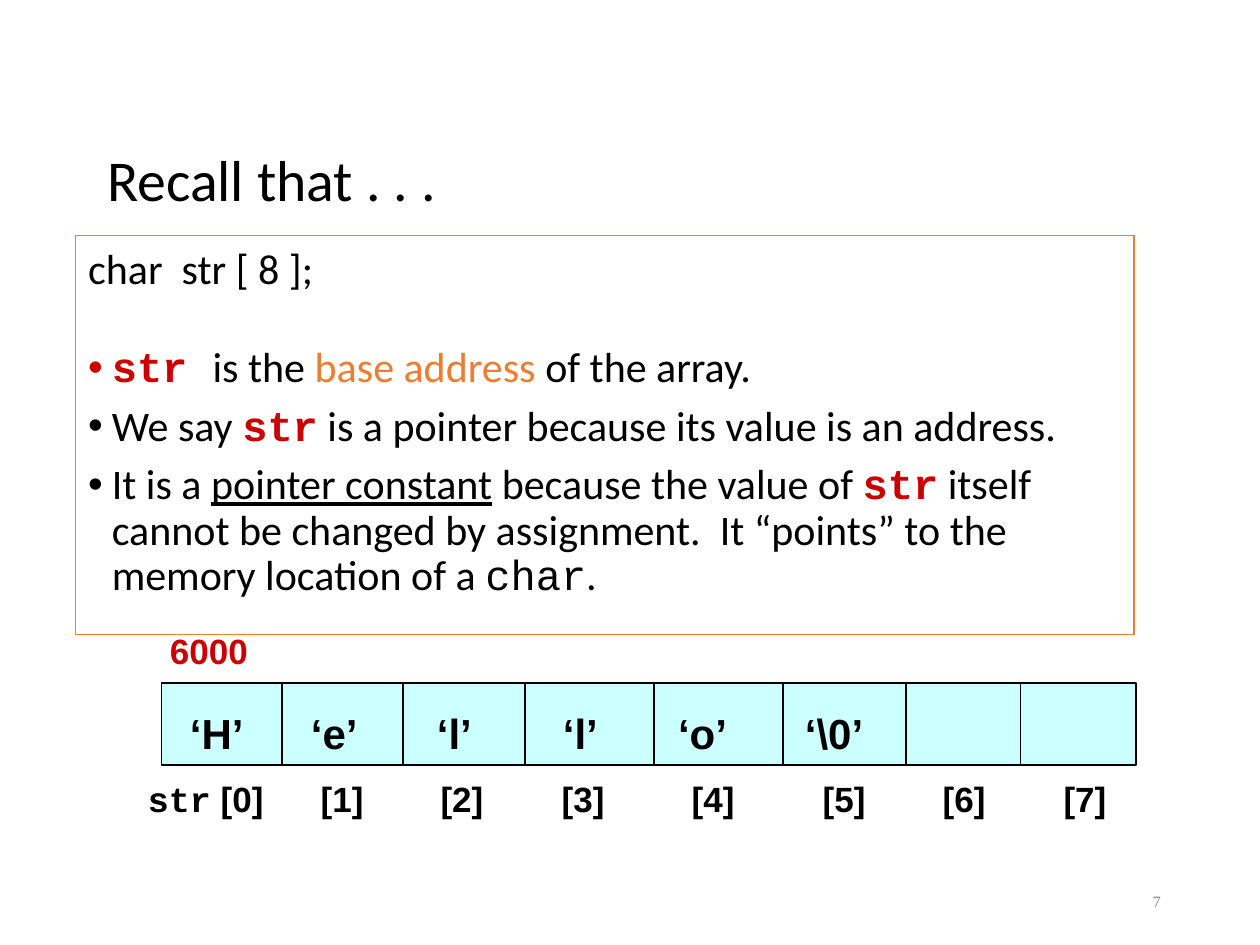
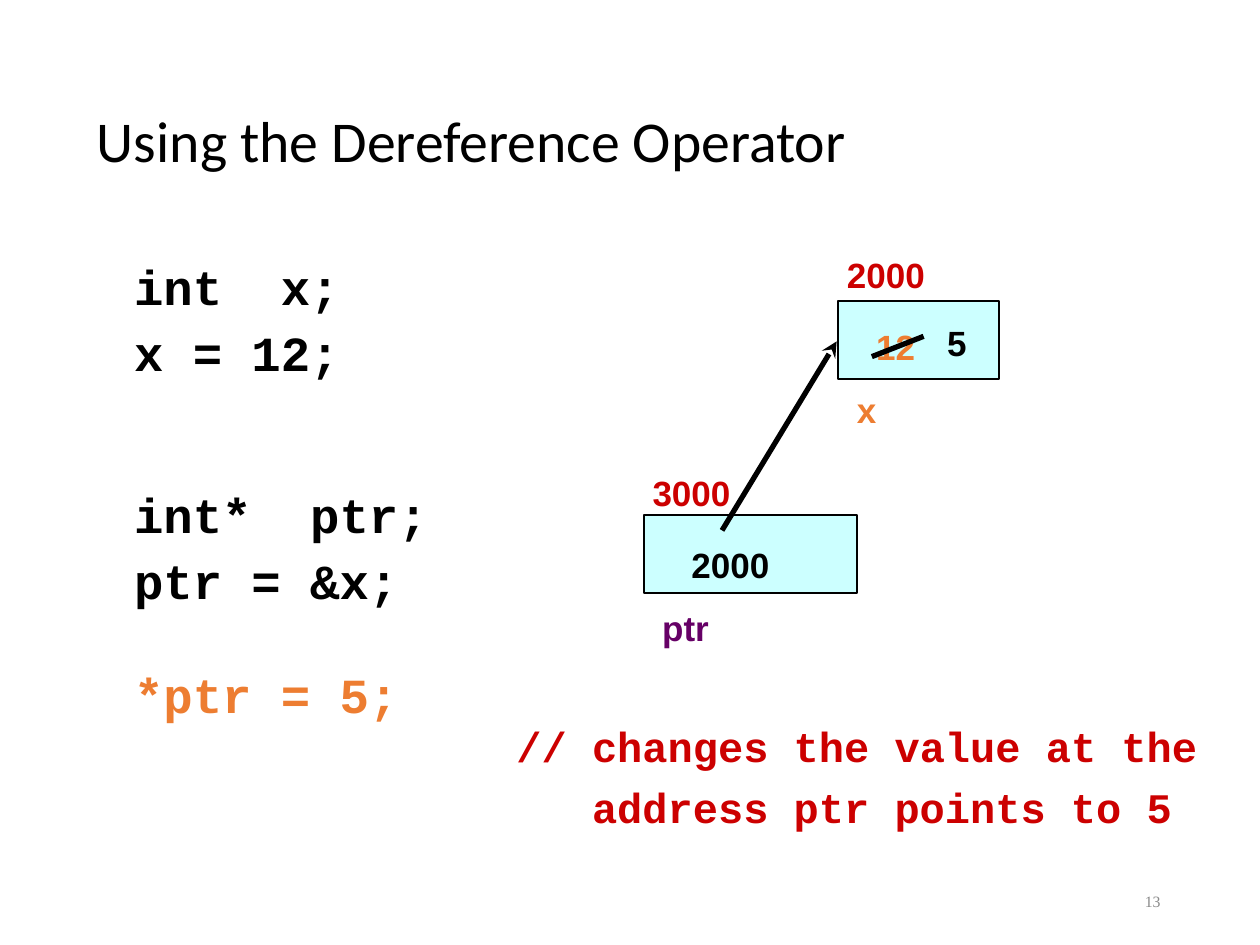
"""Builds two slides on C++ pointers: arrays as base addresses, and the dereference operator."""
from lxml import etree
from pptx import Presentation
from pptx import util as u
from pptx.dml.color import RGBColor
from pptx.enum import shapes, text
from pptx.oxml import ns


class Theme:
    black, red, orange = "000000", "CC0000", "ED7D31"
    purple, gray, cell = "660066", "898989", "CCFFFF"
    title = dict(name="Calibri", size=u.Pt(33), color=black)
    prose = dict(name="Calibri", size=u.Pt(24), color=black)
    accent = dict(prose, color=orange)
    underlined = dict(prose, underline=True)
    type_name = dict(prose, name="Courier New")
    keyword = dict(type_name, bold=True, color=red)
    code = dict(type_name, bold=True, size=u.Pt(28))
    code_accent = dict(code, color=orange)
    value = dict(name="Arial", size=u.Pt(24), bold=True, color=black)
    small = dict(value, size=u.Pt(20))
    small_code = dict(small, name="Courier New")
    address = dict(small, color=red)
    variable = dict(small, color=orange)
    pointer = dict(small, color=purple)
    number = dict(name="Times New Roman", size=u.Pt(9), color=gray)


def write(shape, frame_format, paragraphs):
    """Fill a shape with paragraphs given as (format, runs)."""
    frame = shape.text_frame
    settings = dict(word_wrap=True, auto_size=text.MSO_AUTO_SIZE.NONE,
                    margin_left=u.Pt(7.2), margin_right=u.Pt(7.2),
                    margin_top=u.Pt(3.6), margin_bottom=u.Pt(3.6))
    for key, value in {**settings, **frame_format}.items():
        setattr(frame, key, value)
    for index, (paragraph_format, runs) in enumerate(paragraphs):
        paragraph = frame.add_paragraph() if index else frame.paragraphs[0]
        options = dict(paragraph_format)
        bullet = options.pop("bullet", None)
        margin, indent = options.pop("indent", (0, 0))
        for key, value in options.items():
            setattr(paragraph, key, value)
        properties = paragraph._p.get_or_add_pPr()
        properties.set("marL", str(u.Pt(margin)))
        properties.set("indent", str(u.Pt(indent)))
        if bullet:
            color = etree.SubElement(properties, ns.qn("a:buClr"))
            etree.SubElement(color, ns.qn("a:srgbClr"), val=bullet)
            etree.SubElement(properties, ns.qn("a:buFont"), typeface="Arial")
            etree.SubElement(properties, ns.qn("a:buChar"), char="•")
        else:
            etree.SubElement(properties, ns.qn("a:buNone"))
        for words, style in runs:
            run = paragraph.add_run()
            run.text = words
            for key, value in style.items():
                if key == "color":
                    run.font.color.rgb = RGBColor.from_string(value)
                else:
                    setattr(run.font, key, value)


left_aligned = dict(alignment=text.PP_ALIGN.LEFT, space_before=u.Pt(0))
title_line = dict(left_aligned, line_spacing=0.9)
number_line = dict(left_aligned, alignment=text.PP_ALIGN.RIGHT)
body_line = dict(title_line, space_before=u.Pt(7.5))
bullet_line = dict(body_line, indent=(13.5, -13.5), bullet=Theme.black)
first_bullet = dict(bullet_line, bullet=Theme.red, space_before=u.Pt(30.5))
code_line = dict(body_line, indent=(16.8, 0))
note_line = dict(left_aligned, space_before=u.Pt(6))

cell_top, cell_bottom = 390.4, 437.4
dividers = [161.3, 230.4, 300.2, 373.7, 517.7, 583.2]
characters = zip([101.5, 170.6, 242.6, 314.6, 380.4, 452.9],
                 ["‘H’", "‘e’", "‘l’", "‘l’", "‘o’", "‘\\0’"])
index_lefts = [176.2, 244.7, 313.9, 388.2, 463, 531.6, 600.7]

slides = [
    dict(
        title="Recall that . . .", title_place=(54, 36, 612, 90), number="7",
        body_place=(43.2, 134.6, 604.8, 228.2), body_top=7, outline=Theme.orange,
        body=[
            (body_line, [("char  str [ 8 ];", Theme.prose)]),
            (first_bullet, [("str ", Theme.keyword), ("is the ", Theme.prose),
                            ("base address ", Theme.accent),
                            ("of the array.", Theme.prose)]),
            (bullet_line, [("We say ", Theme.prose), ("str", Theme.keyword),
                           (" is a pointer because its value is an address.", Theme.prose)]),
            (bullet_line, [("It is a ", Theme.prose),
                           ("pointer constant", Theme.underlined),
                           (" because the value of ", Theme.prose),
                           ("str", Theme.keyword),
                           (" itself cannot be changed by assignment.  It “points” "
                            "to the memory location of a ", Theme.prose),
                           ("char", Theme.type_name), (".", Theme.prose)]),
        ],
        boxes=[(92.2, cell_top, 355.2, 47), (447.8, cell_top, 201.2, 47)],
        lines=[(x, cell_top, x, cell_bottom, 1, None) for x in dividers],
        labels=[(90, 356.4, [("6000", Theme.address)]),
                (77.4, 440.6, [("str", Theme.small_code), (" [0]", Theme.small)])]
        + [(x, 401, [(character, Theme.value)]) for x, character in characters]
        + [(x, 440.6, [(f"[{index}]", Theme.small)])
           for index, x in enumerate(index_lefts, 1)],
        note=[],
    ),
    dict(
        title="Using the Dereference Operator", title_place=(48.2, 13.7, 617.8, 90),
        number="13",
        body_place=(52.6, 146.9, 205.2, 334.8), body_top=3.6, outline=None,
        body=[
            (dict(code_line, space_before=u.Pt(gap)), [(words, style)])
            for words, gap, style in [
                ("int  x;", 7.5, Theme.code),
                ("x = 12;", 7.5, Theme.code),
                ("int*  ptr;", 62, Theme.code),
                ("ptr = &x;", 7.5, Theme.code),
                ("*ptr = 5;", 34.8, Theme.code_accent)]
        ],
        boxes=[(478.8, 172.1, 92.2, 44.6), (367.9, 294.5, 121.7, 44.6)],
        lines=[(412.6, 303.1, 478.1, 195.1, 3, "stealth"),
               (498.2, 203.8, 527.8, 192.2, 3, None)],
        labels=[(476.9, 141.1, [("2000", Theme.address)]),
                (493.6, 182.2, [("12", Theme.variable)]),
                (534.2, 180, [("5", Theme.small)]),
                (482.5, 218.2, [("x", Theme.variable)]),
                (365.8, 265.7, [("3000", Theme.address)]),
                (388, 306.8, [("2000", Theme.small)]),
                (371.3, 343.2, [("ptr", Theme.pointer)])],
        note=[(note_line, [("// changes the value at the", Theme.keyword)]),
              (dict(note_line, indent=(43.2, 0)),
               [("address ptr points to 5", Theme.keyword)])],
    ),
]

presentation = Presentation()
presentation.slide_width, presentation.slide_height = u.Pt(720), u.Pt(540)

for content in slides:
    slide = presentation.slides.add_slide(presentation.slide_layouts[1])
    title, body = slide.placeholders
    for shape, place in [(title, content["title_place"]), (body, content["body_place"])]:
        for side, length in zip(("left", "top", "width", "height"), place):
            setattr(shape, side, u.Pt(length))
    write(title, dict(vertical_anchor=text.MSO_ANCHOR.BOTTOM),
          [(title_line, [(content["title"], Theme.title)])])
    write(body, dict(vertical_anchor=text.MSO_ANCHOR.TOP,
                     margin_top=u.Pt(content["body_top"])), content["body"])
    if content["outline"]:
        body.line.color.rgb = RGBColor.from_string(content["outline"])
        body.line.width = u.Pt(0.75)

    number = slide.shapes.add_textbox(u.Pt(508.3), u.Pt(500.4), u.Pt(162), u.Pt(28.8))
    write(number, dict(vertical_anchor=text.MSO_ANCHOR.MIDDLE),
          [(number_line, [(content["number"], Theme.number)])])

    for place in content["boxes"]:
        box = slide.shapes.add_shape(shapes.MSO_SHAPE.RECTANGLE, *map(u.Pt, place))
        box.shadow.inherit = False
        box.fill.solid()
        box.fill.fore_color.rgb = RGBColor.from_string(Theme.cell)
        box.line.color.rgb = RGBColor.from_string(Theme.black)
        box.line.width = u.Pt(1)

    for left, top, runs in content["labels"]:
        label = slide.shapes.add_textbox(u.Pt(left), u.Pt(top), u.Pt(100), u.Pt(31))
        write(label, {}, [(left_aligned, runs)])

    for *ends, width, arrowhead in content["lines"]:
        line = slide.shapes.add_connector(shapes.MSO_CONNECTOR.STRAIGHT, *map(u.Pt, ends))
        line.line.color.rgb = RGBColor.from_string(Theme.black)
        line.line.width = u.Pt(width)
        if arrowhead:
            etree.SubElement(line.line._get_or_add_ln(), ns.qn("a:tailEnd"), type=arrowhead)
        etree.SubElement(line._element.spPr, ns.qn("a:effectLst"))

    if content["note"]:
        note = slide.shapes.add_textbox(u.Pt(288), u.Pt(408.2), u.Pt(408), u.Pt(66.2))
        write(note, {}, content["note"])

presentation.save("out.pptx")
